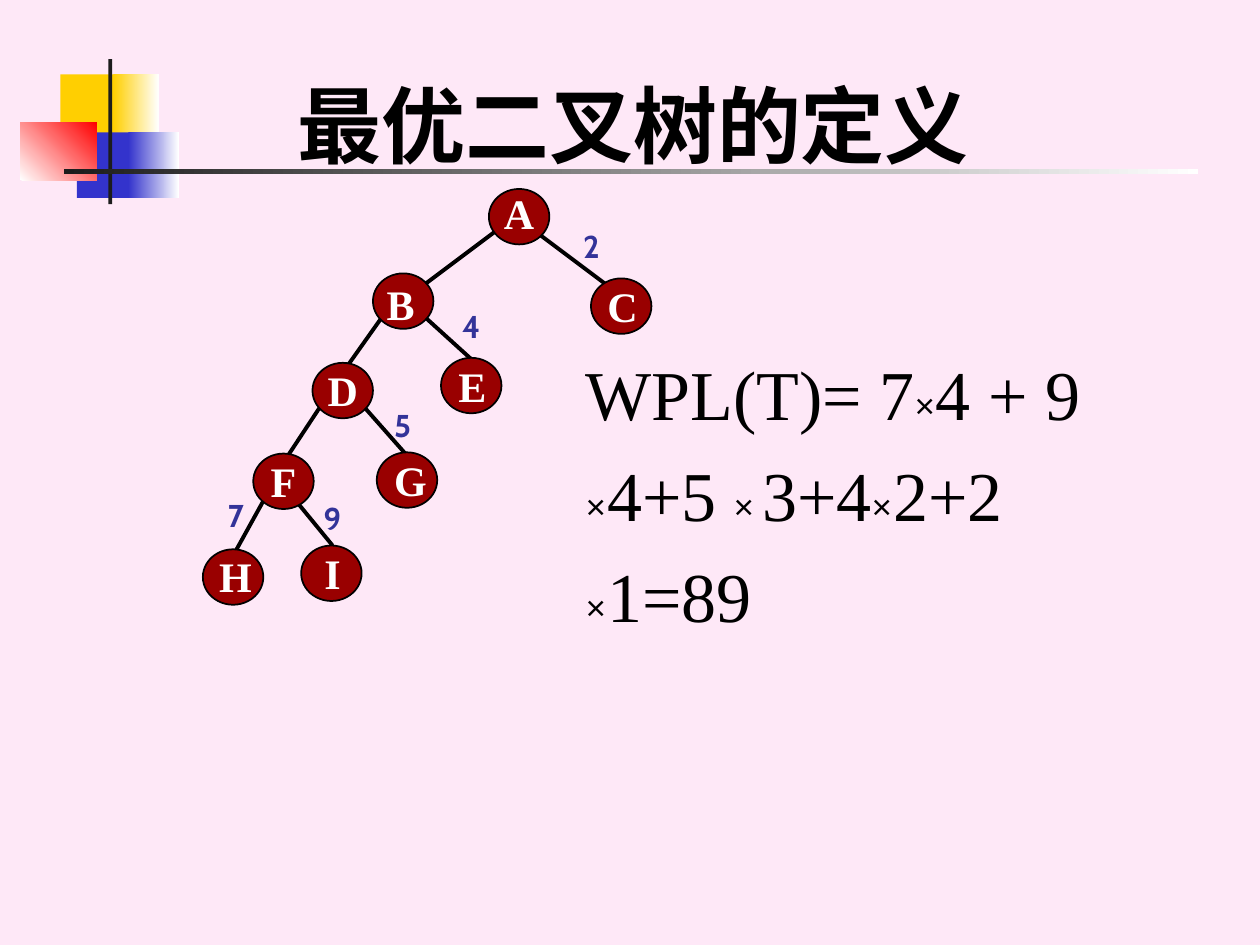
from typing import NamedTuple

from lxml.etree import SubElement
from pptx import Presentation
from pptx.dml.color import RGBColor
from pptx.enum.shapes import MSO_CONNECTOR, MSO_SHAPE
from pptx.enum.text import MSO_ANCHOR, MSO_AUTO_SIZE, PP_ALIGN
from pptx.oxml.ns import qn
from pptx.util import Inches, Pt

COLORS = {
    "background": "FEE8F7", "yellow": "FFCF01", "blue": "3333CC", "red": "FF0000",
    "dark": "1C1C1C", "white": "FFFFFF", "black": "000000",
    "node": "990000", "weight": "333399",
}
SERIF, SANS = "Times New Roman", "Cabin"
NODE_W, NODE_H = 0.48, 0.44
LABEL_W, LABEL_H = 0.44, 0.5
WEIGHT_W, WEIGHT_H = 0.39, 0.4


class Block(NamedTuple):
    x: float
    y: float
    w: float
    h: float
    color: str
    fade_to: str = ""
    angle: float = 0


class Edge(NamedTuple):
    x1: float
    y1: float
    x2: float
    y2: float


class Node(NamedTuple):
    label: str
    x: float
    y: float
    label_x: float
    label_y: float


class Weight(NamedTuple):
    text: str
    x: float
    y: float


BLOCKS = [
    Block(0.48, 0.59, 0.48, 0.52, "yellow"),
    Block(0.9, 0.59, 0.36, 0.52, "yellow", "white"),
    Block(0.61, 1.05, 0.46, 0.52, "blue"),
    Block(1.02, 1.05, 0.4, 0.52, "blue", "white"),
    Block(0.16, 0.97, 0.61, 0.46, "white", "red", 45),
    Block(0.86, 0.47, 0.03, 1.15, "dark"),
    Block(0.51, 1.34, 9, 0.04, "dark", "white"),
]
EDGES = [
    Edge(4.24, 1.83, 4.84, 2.28), Edge(3.94, 1.83, 3.34, 2.28),
    Edge(2.11, 3.94, 1.85, 4.41), Edge(2.32, 3.94, 2.64, 4.33),
    Edge(3.03, 2.52, 2.64, 3.07), Edge(3.31, 2.46, 3.74, 2.85),
    Edge(2.56, 3.2, 2.25, 3.67), Edge(2.89, 3.23, 3.27, 3.66),
]
NODES = [
    Node("A", 3.88, 1.5, 3.9, 1.44),
    Node("B", 2.96, 2.17, 2.96, 2.16),
    Node("C", 4.69, 2.21, 4.72, 2.18),
    Node("D", 2.48, 2.88, 2.5, 2.84),
    Node("E", 3.5, 2.84, 3.53, 2.81),
    Node("F", 2.01, 3.6, 2.03, 3.57),
    Node("G", 2.99, 3.59, 3.03, 3.56),
    Node("H", 1.61, 4.36, 1.64, 4.32),
    Node("I", 2.39, 4.33, 2.42, 4.3),
]
WEIGHTS = [
    Weight("7", 1.71, 3.89), Weight("4", 3.57, 2.39), Weight("9", 2.47, 3.91),
    Weight("5", 3.03, 3.17), Weight("2", 4.53, 1.75),
]
TITLE = {"name": SERIF, "size": Pt(48), "bold": True}
LABEL = {"name": SERIF, "size": Pt(24), "bold": True}
WEIGHT = {"name": SANS, "size": Pt(18), "bold": True}
TERM = {"name": SERIF, "size": Pt(40)}
TIMES = {"name": SANS, "size": Pt(28)}
GAP = {"name": SANS, "size": Pt(18)}
FORMULA = [
    ("WPL(T)= 7", TERM), ("×", TIMES), ("4 + 9 ", TERM), ("×", TIMES),
    ("4+5 ", TERM), ("×", TIMES), (" ", GAP), ("3+4", TERM), ("×", TIMES),
    ("2+2 ", TERM), ("×", TIMES), ("1=89", TERM),
]


def rgb(name: str) -> RGBColor:
    return RGBColor.from_string(COLORS[name])


def add_run(p, text: str, fmt: dict, color: str) -> None:
    r = p.add_run()
    r.text = text
    for name, value in fmt.items():
        setattr(r.font, name, value)
    r.font.color.rgb = rgb(color)


def add_text_box(s, x: float, y: float, w: float, h: float, wrap: bool = True):
    """Add a text box and return its first paragraph."""
    tf = s.shapes.add_textbox(Inches(x), Inches(y), Inches(w), Inches(h)).text_frame
    tf.word_wrap = wrap
    return tf.paragraphs[0]


def add_block(s, block: Block) -> None:
    sp = s.shapes.add_shape(MSO_SHAPE.RECTANGLE, *map(Inches, block[:4]))
    sp.shadow.inherit = False
    sp.line.fill.background()
    if block.fade_to:
        sp.fill.gradient()
        sp.fill.gradient_angle = block.angle
        for stop, color in zip(sp.fill.gradient_stops, (block.color, block.fade_to)):
            stop.color.rgb = rgb(color)
    else:
        sp.fill.solid()
        sp.fill.fore_color.rgb = rgb(block.color)


def add_edge(s, edge: Edge) -> None:
    line = s.shapes.add_connector(MSO_CONNECTOR.STRAIGHT, *map(Inches, edge))
    line.line.color.rgb = rgb("black")
    line.line.width = Pt(2.25)
    SubElement(line.element.spPr, qn("a:effectLst"))


def add_node(s, node: Node) -> None:
    sp = s.shapes.add_shape(MSO_SHAPE.OVAL, Inches(node.x), Inches(node.y),
                            Inches(NODE_W), Inches(NODE_H))
    sp.shadow.inherit = False
    sp.fill.solid()
    sp.fill.fore_color.rgb = rgb("node")
    sp.line.color.rgb = rgb("black")
    sp.line.width = Pt(1)
    p = add_text_box(s, node.label_x, node.label_y, LABEL_W, LABEL_H, wrap=False)
    p.alignment = PP_ALIGN.CENTER
    add_run(p, node.label, LABEL, "white")


def add_weight(s, weight: Weight) -> None:
    p = add_text_box(s, weight.x, weight.y, WEIGHT_W, WEIGHT_H)
    p.space_before = Pt(11.2)
    add_run(p, weight.text, WEIGHT, "weight")


def add_title(s) -> None:
    """Format the title placeholder and bring it in front of the blocks."""
    title = s.shapes.title
    title.left, title.top, title.width, title.height = map(Inches, (0.61, 0.53, 8.83, 0.9))
    tf = title.text_frame
    tf.auto_size = MSO_AUTO_SIZE.NONE
    tf.vertical_anchor = MSO_ANCHOR.MIDDLE
    p = tf.paragraphs[0]
    p.alignment = PP_ALIGN.CENTER
    add_run(p, "最优二叉树的定义", TITLE, "black")
    s.shapes.element.append(title.element)


def add_formula(s) -> None:
    p = add_text_box(s, 4.55, 2.6, 4.47, 2.5)
    p.line_spacing = 1.2
    for text, fmt in FORMULA:
        add_run(p, text, fmt, "black")


def main() -> None:
    prs = Presentation()
    prs.slide_width, prs.slide_height = Inches(10), Inches(7.5)
    s = prs.slides.add_slide(prs.slide_layouts[5])
    s.background.fill.solid()
    s.background.fill.fore_color.rgb = rgb("background")
    for block in BLOCKS:
        add_block(s, block)
    add_title(s)
    for edge in EDGES:
        add_edge(s, edge)
    for node in NODES:
        add_node(s, node)
    for weight in WEIGHTS:
        add_weight(s, weight)
    add_formula(s)
    prs.save("out.pptx")


if __name__ == "__main__":
    main()
